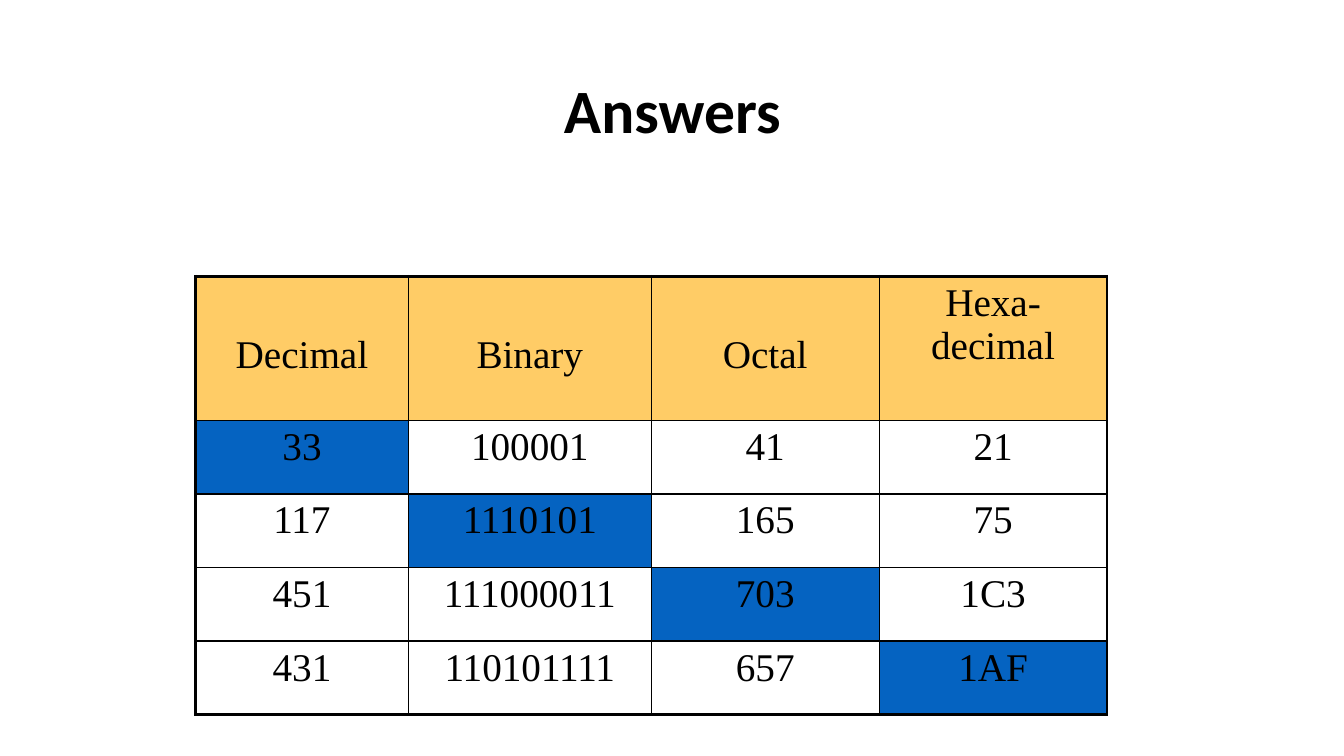
"""Build the Answers slide with its number base conversion table."""
from lxml import etree
from pptx import Presentation
from pptx.dml.color import RGBColor
from pptx.enum.text import MSO_ANCHOR, PP_ALIGN
from pptx.oxml.ns import qn
from pptx.util import Inches, Pt

COLORS = {"text": "000000", "border": "000000", "header": "FFCC66", "given": "0563C1"}
ROWS = [
    ["Decimal", "Binary", "Octal", "Hexa-\vdecimal"],
    ["33", "100001", "41", "21"],
    ["117", "1110101", "165", "75"],
    ["451", "111000011", "703", "1C3"],
    ["431", "110101111", "657", "1AF"],
]
COLUMN_WIDTHS = [2.11, 2.41, 2.26, 2.26]
ROW_HEIGHTS = [1.43] + [0.73] * 4


def style_text(paragraph, font_name, size, bold):
    paragraph.alignment = PP_ALIGN.CENTER
    for run in paragraph.runs:
        run.font.name = font_name
        run.font.size = Pt(size)
        run.font.bold = bold
        run.font.color.rgb = RGBColor.from_string(COLORS["text"])


def add_border(cell, side, width):
    line = etree.SubElement(cell._tc.get_or_add_tcPr(), qn(f"a:ln{side}"), w=str(Pt(width)))
    fill = etree.SubElement(line, qn("a:solidFill"))
    etree.SubElement(fill, qn("a:srgbClr"), val=COLORS["border"])


prs = Presentation()
prs.slide_width, prs.slide_height = Inches(13.33), Inches(7.5)
slide = prs.slides.add_slide(prs.slide_layouts[5])

title = slide.shapes.title
title.left, title.top = Inches(0.92), Inches(0.4)
title.width, title.height = Inches(11.5), Inches(1.45)
title.text_frame.text = "Answers"
title.text_frame.vertical_anchor = MSO_ANCHOR.MIDDLE
title.text_frame.paragraphs[0].line_spacing = 0.9
style_text(title.text_frame.paragraphs[0], "Calibri", 44, True)

table = slide.shapes.add_table(
    len(ROWS), len(COLUMN_WIDTHS), Inches(1.94), Inches(2.74),
    Inches(sum(COLUMN_WIDTHS)), Inches(sum(ROW_HEIGHTS))).table
table.first_row = table.horz_banding = False
for column, width in zip(table.columns, COLUMN_WIDTHS):
    column.width = Inches(width)
for row, height in zip(table.rows, ROW_HEIGHTS):
    row.height = Inches(height)

last_row, last_column = len(ROWS) - 1, len(COLUMN_WIDTHS) - 1
for r, values in enumerate(ROWS):
    for c, value in enumerate(values):
        cell = table.cell(r, c)
        cell.text = value
        style_text(cell.text_frame.paragraphs[0], "Times New Roman", 28, False)
        if r == 0 and c < last_column:
            cell.margin_top = Inches(0.57)
        outer_edges = {"L": c == 0, "R": c == last_column, "T": r == 0, "B": r == last_row}
        for side, is_outer in outer_edges.items():
            add_border(cell, side, 2.25 if is_outer else 1)
        if r == 0 or r == c + 1:
            cell.fill.solid()
            cell.fill.fore_color.rgb = RGBColor.from_string(COLORS["given" if r else "header"])
        else:
            cell.fill.background()

prs.save("out.pptx")
